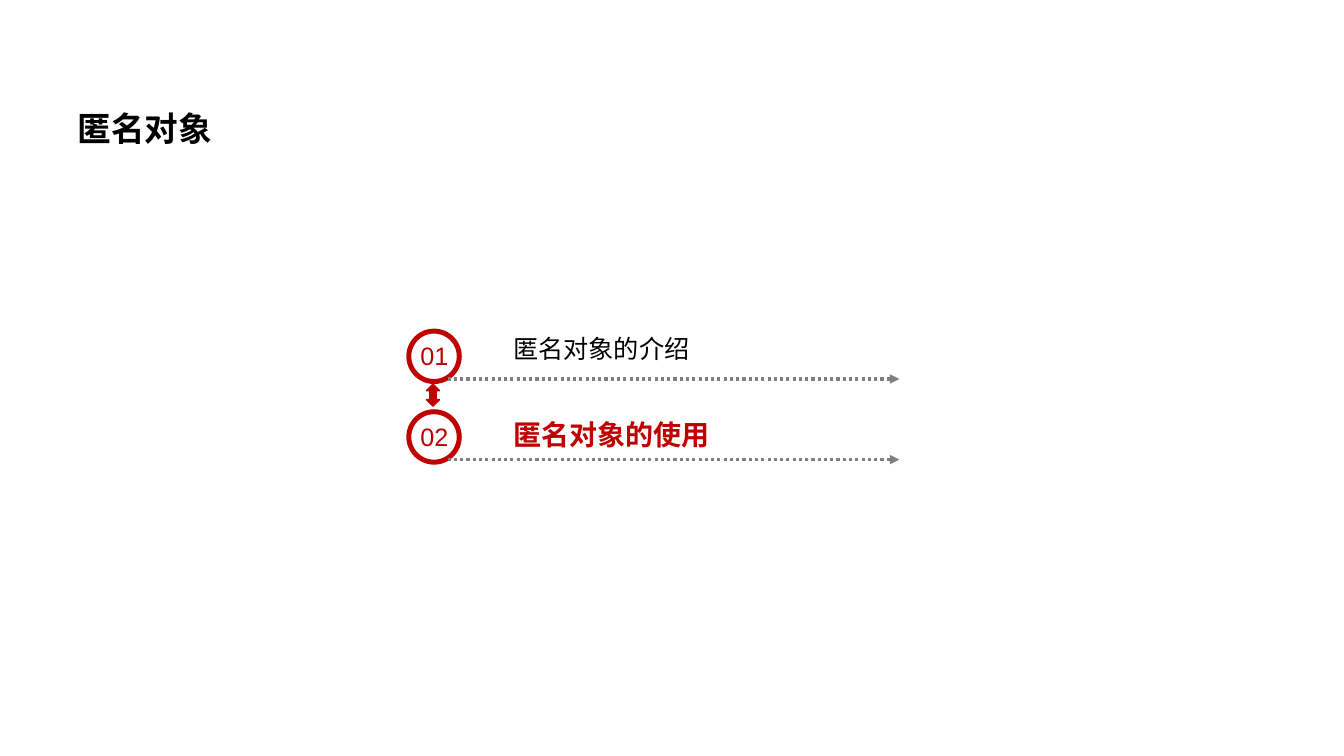
from lxml.etree import SubElement
from pptx import Presentation
from pptx.dml.color import RGBColor
from pptx.enum.dml import MSO_LINE
from pptx.enum.shapes import MSO_CONNECTOR as Connector, MSO_SHAPE as Shape
from pptx.enum.text import MSO_ANCHOR as Anchor, MSO_AUTO_SIZE as AutoSize, PP_ALIGN as Align
from pptx.oxml.ns import qn
from pptx.util import Inches, Pt

COLORS = {
    name: RGBColor.from_string(value)
    for name, value in {"red": "C00000", "black": "000000", "gray": "808080"}.items()
}
RING_LEFT, RING_TOP, RING_SIZE, ROW_STEP = 4.03, 3.26, 0.55, 0.8
LINE_LEFT, LINE_RIGHT, LINE_DROP = 4.44, 8.92, 0.5
LABEL_LEFT, LABEL_WIDTH = 4.99, 3.96
TOPICS = [
    ("01", "匿名对象的介绍", 18, "black", False, 0.0, 0.4),
    ("02", "匿名对象的使用", 20, "red", True, 0.03, 0.44),
]


def write_text(box, text, size, color, bold=False, wrap=True):
    frame = box.text_frame
    frame.word_wrap = wrap
    frame.auto_size = AutoSize.SHAPE_TO_FIT_TEXT
    frame.vertical_anchor = Anchor.TOP
    para = frame.paragraphs[0]
    para.text = text
    para.alignment = Align.LEFT
    para.font.name = "Arial"
    para.font.size = Pt(size)
    para.font.bold = bold
    para.font.color.rgb = COLORS[color]
    return para


def add_red_shape(shapes, preset, left, top, width, height):
    shape = shapes.add_shape(preset, Inches(left), Inches(top), Inches(width), Inches(height))
    shape.shadow.inherit = False
    shape.fill.solid()
    shape.fill.fore_color.rgb = COLORS["red"]
    return shape


deck = Presentation()
deck.slide_width, deck.slide_height = Inches(13.33), Inches(7.5)
page = deck.slides.add_slide(deck.slide_layouts[5])
shapes = page.shapes

title = shapes.title
title.left, title.top = Inches(0.67), Inches(0.82)
title.width, title.height = Inches(11.74), Inches(0.7)
write_text(title, "匿名对象", 24, "black", bold=True).line_spacing = 1.5

for row, (number, topic, size, color, bold, label_drop, label_height) in enumerate(TOPICS):
    top = RING_TOP + row * ROW_STEP

    ring = add_red_shape(shapes, Shape.DONUT, RING_LEFT, top, RING_SIZE, RING_SIZE)
    ring.adjustments[0] = 0.09
    ring.line.fill.background()

    number_box = shapes.add_textbox(Inches(4.07), Inches(top + 0.07), Inches(0.48), Inches(0.4))
    write_text(number_box, number, 18, "red", wrap=False)

    line_top = Inches(top + LINE_DROP)
    arrow = shapes.add_connector(
        Connector.STRAIGHT, Inches(LINE_LEFT), line_top, Inches(LINE_RIGHT), line_top
    )
    arrow.line.color.rgb = COLORS["gray"]
    arrow.line.width = Pt(2.25)
    arrow.line.dash_style = MSO_LINE.ROUND_DOT
    SubElement(arrow.line._get_or_add_ln(), qn("a:tailEnd"), type="triangle")
    SubElement(arrow._element.spPr, qn("a:effectLst"))

    label = shapes.add_textbox(
        Inches(LABEL_LEFT), Inches(top + label_drop), Inches(LABEL_WIDTH), Inches(label_height)
    )
    write_text(label, topic, size, color, bold)

link = add_red_shape(shapes, Shape.UP_DOWN_ARROW, 4.23, RING_TOP + RING_SIZE, 0.13, 0.22)
link.line.color.rgb = COLORS["red"]
link.line.width = Pt(1)

deck.save("out.pptx")
